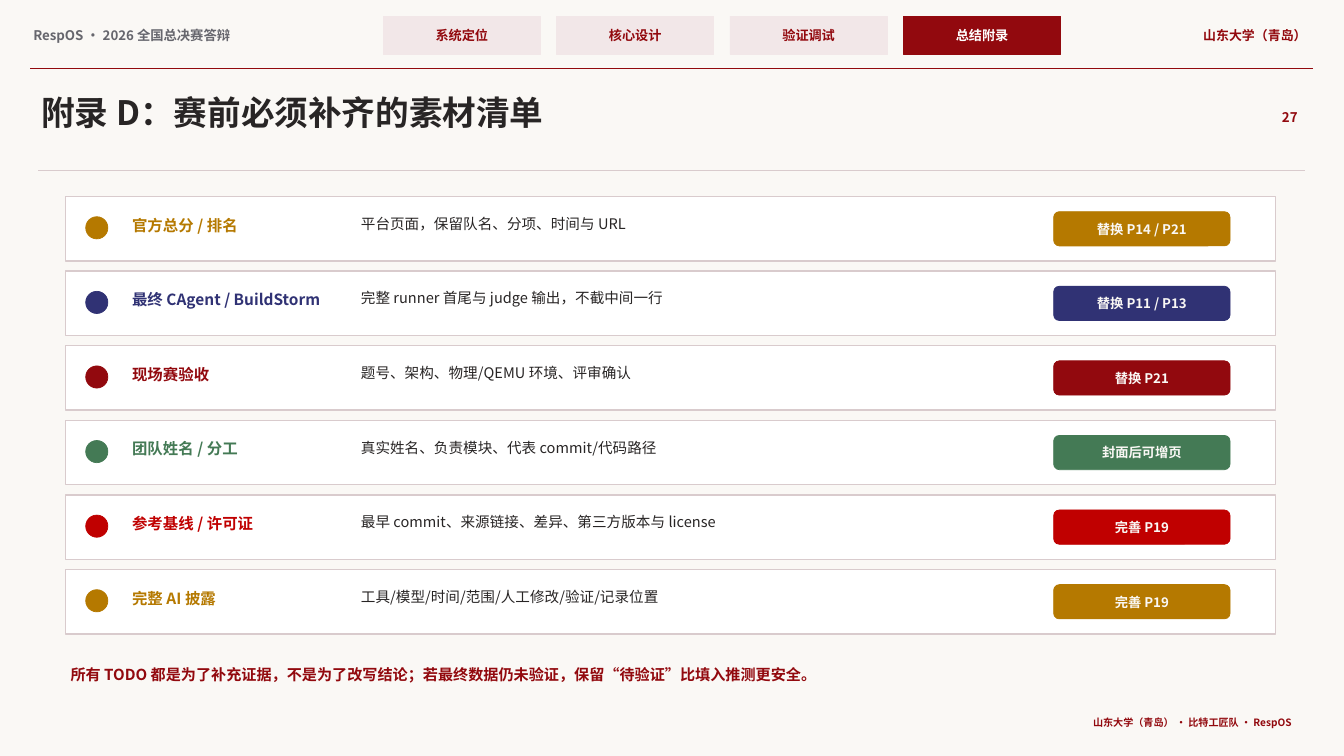
from pptx import Presentation
from pptx.dml.color import RGBColor
from pptx.enum.shapes import MSO_CONNECTOR, MSO_SHAPE
from pptx.enum.text import MSO_ANCHOR, MSO_AUTO_SIZE, PP_ALIGN
from pptx.oxml.ns import qn
from pptx.util import Inches, Pt

RECT, OVAL, ROUNDED = MSO_SHAPE.RECTANGLE, MSO_SHAPE.OVAL, MSO_SHAPE.ROUNDED_RECTANGLE
LEFT, CENTER, RIGHT = PP_ALIGN.LEFT, PP_ALIGN.CENTER, PP_ALIGN.RIGHT
TOP, MIDDLE = MSO_ANCHOR.TOP, MSO_ANCHOR.MIDDLE
FIT_SHAPE, FIT_NONE = MSO_AUTO_SIZE.SHAPE_TO_FIT_TEXT, MSO_AUTO_SIZE.NONE
STRAIGHT = MSO_CONNECTOR.STRAIGHT

FONT = "Noto Sans CJK SC"
WIDTH, HEIGHT = 13.33, 7.5
PAPER, WHITE, INK, GRAY = "FAF8F5", "FFFFFF", "282525", "66666D"
MAROON, BLUSH, BORDER = "92090E", "F2E7E8", "D9CBCD"
GOLD, NAVY, GREEN, RED = "B57900", "303274", "447A55", "C00000"

TABS = ["系统定位", "核心设计", "验证调试", "总结附录"]
ACTIVE_TAB = "总结附录"
MATERIALS = [
    ("官方总分 / 排名", "平台页面，保留队名、分项、时间与 URL", "替换 P14 / P21", GOLD),
    ("最终 CAgent / BuildStorm", "完整 runner 首尾与 judge 输出，不截中间一行", "替换 P11 / P13", NAVY),
    ("现场赛验收", "题号、架构、物理/QEMU 环境、评审确认", "替换 P21", MAROON),
    ("团队姓名 / 分工", "真实姓名、负责模块、代表 commit/代码路径", "封面后可增页", GREEN),
    ("参考基线 / 许可证", "最早 commit、来源链接、差异、第三方版本与 license", "完善 P19", RED),
    ("完整 AI 披露", "工具/模型/时间/范围/人工修改/验证/记录位置", "完善 P19", GOLD),
]


def color(value):
    return RGBColor.from_string(value)


def inches(box):
    return [Inches(length) for length in box]


def write(shape, text, size=10, ink=INK, bold=True, align=LEFT, anchor=TOP, fit=FIT_SHAPE):
    frame = shape.text_frame
    frame.word_wrap = True
    frame.auto_size = fit
    frame.vertical_anchor = anchor
    frame.margin_left = frame.margin_right = Inches(0.03)
    frame.margin_top = frame.margin_bottom = Inches(0.03)
    para = frame.paragraphs[0]
    para.alignment = align
    span = para.add_run()
    span.text = text
    font = span.font
    font.size, font.bold, font.name = Pt(size), bold, FONT
    font.color.rgb = color(ink)
    # East Asian typeface follows the Latin one
    latin = font._element.find(qn("a:latin"))
    east = latin.makeelement(qn("a:ea"), {"typeface": FONT})
    latin.addnext(east)


def add_text(page, box, text, **style):
    write(page.shapes.add_textbox(*inches(box)), text, **style)


def add_block(page, kind, box, fill, line=None, weight=0.5):
    shape = page.shapes.add_shape(kind, *inches(box))
    shape.shadow.inherit = False
    shape.fill.solid()
    shape.fill.fore_color.rgb = color(fill)
    shape.line.color.rgb = color(line or fill)
    shape.line.width = Pt(weight)
    return shape


def add_rule(page, left, top, width, ink, weight):
    rule = page.shapes.add_connector(STRAIGHT, *inches((left, top, left + width, top)))
    rule.line.color.rgb = color(ink)
    rule.line.width = Pt(weight)
    properties = rule._element.spPr
    properties.append(properties.makeelement(qn("a:effectLst"), {}))


def draw_header(page, left, top, width, height):
    text_top = top + 0.24
    add_text(page, (left, text_top, 3.35, 0.24), "RespOS · 2026 全国总决赛答辩",
             size=9.5, ink=GRAY)
    # Navigation tabs
    for index, label in enumerate(TABS):
        active = label == ACTIVE_TAB
        tab = add_block(page, RECT, (left + 3.5 + index * 1.72, top + 0.16, 1.56, 0.38),
                        MAROON if active else BLUSH)
        write(tab, label, size=9.4, ink=WHITE if active else MAROON,
              align=CENTER, anchor=MIDDLE, fit=FIT_NONE)
    add_text(page, (left + width - 1.67, text_top, 1.64, 0.24), "山东大学（青岛）",
             size=9.2, ink=MAROON, align=RIGHT)
    add_rule(page, left, top + height, width, MAROON, 1.1)


def draw_title(page, left, top, width, height):
    title = page.shapes.title
    title.left, title.top, title.width, title.height = inches((left, top, 11.85, 0.48))
    write(title, "附录 D：赛前必须补齐的素材清单", size=24)
    add_text(page, (left + width - 0.46, top + 0.17, 0.42, 0.24), "27",
             size=9.5, ink=MAROON, align=RIGHT)
    add_rule(page, left, top + height, width, BORDER, 0.9)


def draw_material(page, left, top, width, height, name, detail, action, accent):
    add_block(page, RECT, (left, top, width, height), WHITE, BORDER, 1)
    add_block(page, OVAL, (left + 0.2, top + 0.2, 0.22, 0.22), accent)
    add_text(page, (left + 0.63, top + 0.16, 2.05, 0.27), name, size=11, ink=accent)
    add_text(page, (left + 2.9, top + 0.15, 6.55, 0.3), detail, size=10.4, bold=False)
    pill = add_block(page, ROUNDED, (left + width - 2.2, top + 0.15, 1.75, 0.34), accent)
    write(pill, action, size=9.5, ink=PAPER, align=CENTER, anchor=MIDDLE, fit=FIT_NONE)


def draw_checklist(page, left, top, width, height, gap=0.1):
    row_height = (height + gap) / len(MATERIALS) - gap
    for index, material in enumerate(MATERIALS):
        draw_material(page, left, top + index * (row_height + gap), width, row_height, *material)


def draw_closing(page, left, top, width, height):
    add_text(page, (left, top, 11.7, 0.33),
             "所有 TODO 都是为了补充证据，不是为了改写结论；"
             "若最终数据仍未验证，保留“待验证”比填入推测更安全。", size=10.8, ink=MAROON)
    add_text(page, (left + width - 3.12, top + height - 0.2, 3.12, 0.2),
             "山东大学（青岛） · 比特工匠队 · RespOS", size=7.2, ink=MAROON, align=RIGHT)


def main():
    deck = Presentation()
    deck.slide_width, deck.slide_height = inches((WIDTH, HEIGHT))
    page = deck.slides.add_slide(deck.slide_layouts[5])
    page.background.fill.solid()
    page.background.fill.fore_color.rgb = color(PAPER)
    draw_header(page, 0.3, 0, 12.72, 0.68)
    draw_title(page, 0.38, 0.88, 12.56, 0.81)
    draw_checklist(page, 0.65, 1.95, 12, 4.34)
    draw_closing(page, 0.67, 6.57, 12.17, 0.71)
    deck.save("out.pptx")


if __name__ == "__main__":
    main()
